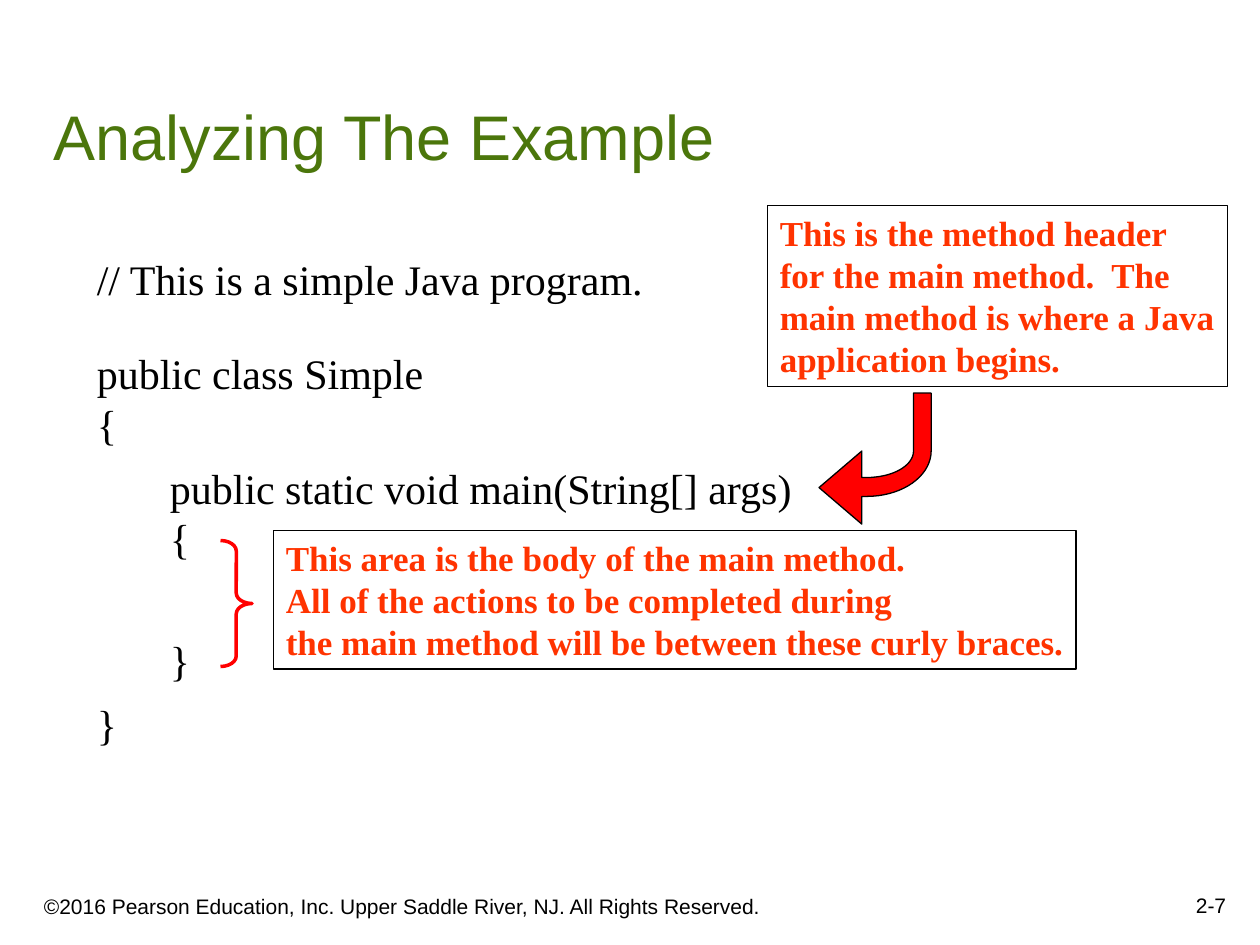
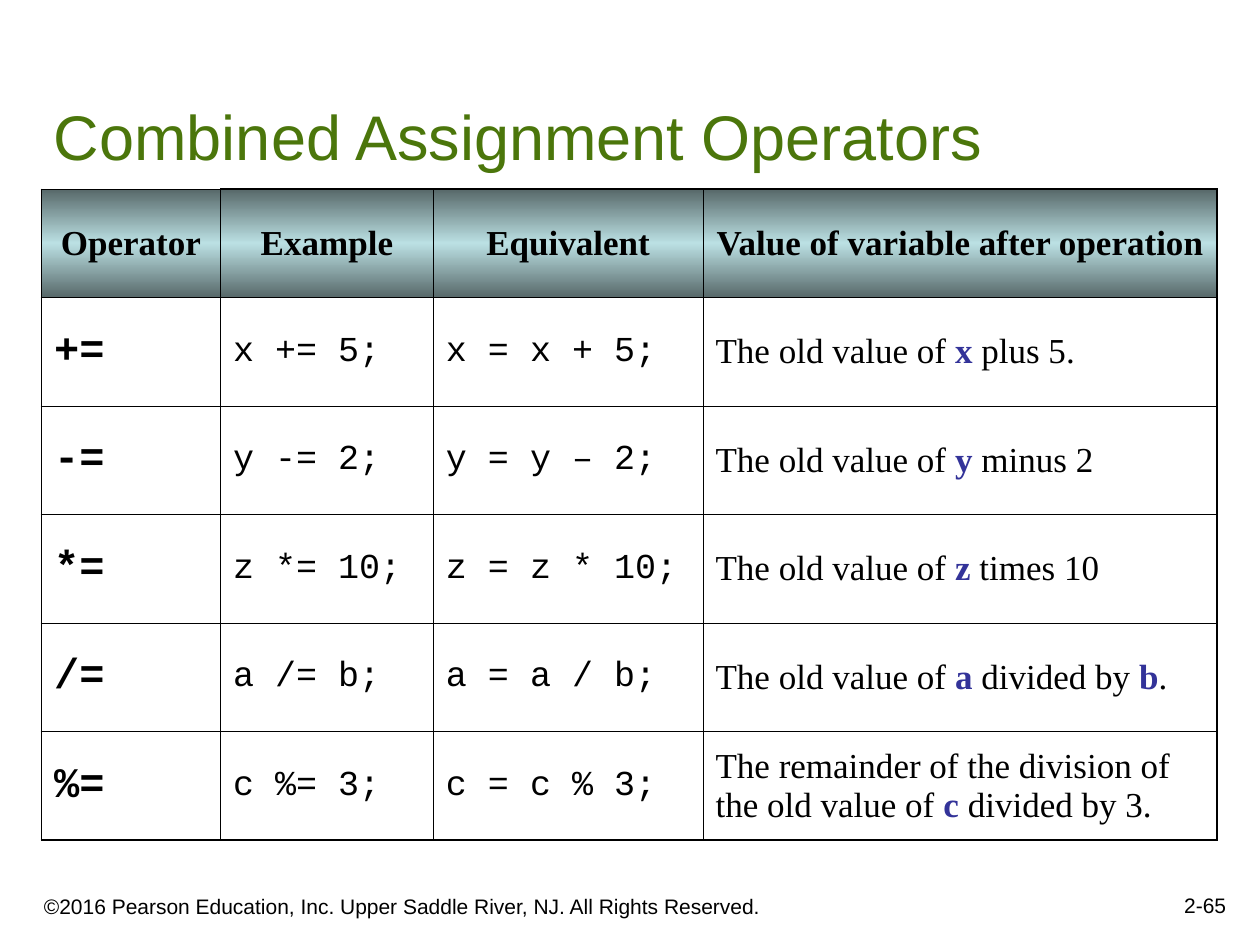
import math

import pptx
import pptx.dml.color
import pptx.enum.shapes
import pptx.enum.text
import pptx.oxml
import pptx.util
from pptx.util import Inches

BLACK = pptx.dml.color.RGBColor(0x00, 0x00, 0x00)
GREEN = pptx.dml.color.RGBColor(0x4B, 0x76, 0x0B)
ORANGE = pptx.dml.color.RGBColor(0xFF, 0x33, 0x00)
RED = pptx.dml.color.RGBColor(0xFF, 0x00, 0x00)
INDIGO = pptx.dml.color.RGBColor(0x33, 0x33, 0x99)
HEADER_DARK = pptx.dml.color.RGBColor(0x57, 0x68, 0x69)
HEADER_LIGHT = pptx.dml.color.RGBColor(0xBB, 0xE0, 0xE3)

SANS = "Arial"
SERIF = "Times New Roman"
MONO = "Courier New"
COPYRIGHT = "©2016 Pearson Education, Inc. Upper Saddle River, NJ. All Rights Reserved."
NAMESPACE = 'xmlns:a="http://schemas.openxmlformats.org/drawingml/2006/main"'

ALIGN = pptx.enum.text.PP_ALIGN
ANCHOR = pptx.enum.text.MSO_ANCHOR
SHAPE = pptx.enum.shapes.MSO_SHAPE


def add_run(paragraph, text, size, font, color=BLACK, bold=False):
    run = paragraph.add_run()
    run.text = text
    run.font.size = pptx.util.Pt(size)
    run.font.name = font
    run.font.color.rgb = color
    run.font.bold = bold


def add_text_box(slide, box, anchor):
    frame = slide.shapes.add_textbox(*[Inches(length) for length in box]).text_frame
    frame.word_wrap = True
    frame.vertical_anchor = anchor
    return frame


presentation = pptx.Presentation()
presentation.slide_width = Inches(10)
presentation.slide_height = Inches(7.5)

# Footer, page number and title of both slides
slides = []
for title, number in [("Analyzing The Example", "2-7"),
                      ("Combined Assignment Operators", "2-65")]:
    slide = presentation.slides.add_slide(presentation.slide_layouts[6])
    for text, box, size, color, alignment in [
        (COPYRIGHT, (0.25, 6.92, 6.08, 0.42), 12, BLACK, ALIGN.LEFT),
        (number, (7.75, 6.83, 2.08, 0.5), 12, BLACK, ALIGN.RIGHT),
        (title, (0.33, 0.33, 9.42, 1.09), 36, GREEN, ALIGN.LEFT),
    ]:
        paragraph = add_text_box(slide, box, ANCHOR.BOTTOM).paragraphs[0]
        paragraph.alignment = alignment
        add_run(paragraph, text, size, SANS, color)
    slides.append(slide)
example_slide, operators_slide = slides

# Java program: each line with the space before it in points
for box, code_lines in [
    ((0.67, 1.96, 4.7, 0.5), [("// This is a simple Java program.", 0)]),
    ((0.67, 2.71, 3.25, 3.3), [("public class Simple", 0), ("{", 0), ("}", 143)]),
    ((1.25, 3.62, 5.3, 2.35),
     [("public static void main(String[] args)", 0), ("{", 0), ("}", 41)]),
]:
    frame = add_text_box(example_slide, box, ANCHOR.TOP)
    for index, (line, space) in enumerate(code_lines):
        paragraph = frame.add_paragraph() if index else frame.paragraphs[0]
        paragraph.line_spacing = pptx.util.Pt(28.8)
        paragraph.space_before = pptx.util.Pt(space)
        add_run(paragraph, line, 24, SERIF)

# Framed explanations
for box, explanation_lines in [
    ((2.17, 4.21, 6.37, 1.1), [
        "This area is the body of the main method.",
        "All of the actions to be completed during",
        "the main method will be between these curly braces."]),
    ((6.09, 1.63, 3.65, 1.44), [
        "This is the method header",
        "for the main method.  The",
        "main method is where a Java",
        "application begins."]),
]:
    shape = example_slide.shapes.add_shape(
        SHAPE.RECTANGLE, *[Inches(length) for length in box])
    shape.shadow.inherit = False
    shape.fill.background()
    shape.line.color.rgb = BLACK
    shape.line.width = pptx.util.Pt(0.75)
    frame = shape.text_frame
    frame.word_wrap = False
    frame.vertical_anchor = ANCHOR.TOP
    for index, line in enumerate(explanation_lines):
        paragraph = frame.add_paragraph() if index else frame.paragraphs[0]
        paragraph.alignment = ALIGN.LEFT
        paragraph.line_spacing = pptx.util.Pt(24)
        add_run(paragraph, line, 20, SERIF, ORANGE, True)

# Brace around the method body
brace = example_slide.shapes.add_shape(
    SHAPE.RIGHT_BRACE, Inches(1.75), Inches(4.29), Inches(0.25), Inches(1))
brace.adjustments[0] = 0.33
brace.shadow.inherit = False
brace.fill.background()
brace.line.color.rgb = RED
brace.line.width = pptx.util.Pt(2)

# Curved arrow to the method header: two elliptical arcs and a head
center_x, center_y = 6.88, 3.58
angles = [math.radians(degrees) for degrees in range(0, 91, 5)]
outer_arc = [(center_x + 0.51 * math.cos(angle), center_y + 0.36 * math.sin(angle))
             for angle in reversed(angles)]
inner_arc = [(center_x + 0.37 * math.cos(angle), center_y + 0.21 * math.sin(angle))
             for angle in angles]
outline = [(6.5, 3.87), (6.84, 4.16), (6.84, 3.94), *outer_arc,
           (7.39, 3.12), (7.25, 3.12), *inner_arc, (6.84, 3.79), (6.84, 3.58)]
points = [(Inches(x), Inches(y)) for x, y in outline]
builder = example_slide.shapes.build_freeform(*points[0])
builder.add_line_segments(points[1:], close=True)
arrow = builder.convert_to_shape()
arrow.shadow.inherit = False
arrow.fill.solid()
arrow.fill.fore_color.rgb = RED
arrow.line.color.rgb = BLACK
arrow.line.width = pptx.util.Pt(0.75)

# Operator table: bars enclose the variables shown in bold
headings = ["Operator", "Example", "Equivalent", "Value of variable after operation"]
operators = [
    ("+=", "x += 5;", "x = x + 5;", "The old value of |x| plus 5."),
    ("-=", "y -= 2;", "y = y – 2;", "The old value of |y| minus 2"),
    ("*=", "z *= 10;", "z = z * 10;", "The old value of |z| times 10"),
    ("/=", "a /= b;", "a = a / b;", "The old value of |a| divided by |b|."),
    ("%=", "c %= 3;", "c = c % 3;",
     "The remainder of the division of the old value of |c| divided by 3."),
]
rows = [headings, *operators]
table = operators_slide.shapes.add_table(
    len(rows), len(headings), Inches(0.33), Inches(1.5), Inches(9.33), Inches(5.17)).table
table.first_row = False
table.horz_banding = False
for column, width in zip(table.columns, [1.42, 1.69, 2.14, 4.08]):
    column.width = Inches(width)

last_row, last_column = len(rows) - 1, len(headings) - 1
for row_index, row in enumerate(rows):
    for column_index, text in enumerate(row):
        cell = table.cell(row_index, column_index)
        cell.vertical_anchor = ANCHOR.MIDDLE
        paragraph = cell.text_frame.paragraphs[0]
        if row_index == 0:
            paragraph.alignment = ALIGN.CENTER
            add_run(paragraph, text, 20, SERIF, bold=True)
        elif column_index == 0:
            add_run(paragraph, text, 24, MONO, bold=True)
        elif column_index < last_column:
            add_run(paragraph, text, 20, MONO)
        else:
            for part_index, part in enumerate(text.split("|")):
                variable = part_index % 2 == 1
                add_run(paragraph, part, 20, SERIF, INDIGO if variable else BLACK, variable)

        # Thick outer and thin inner borders
        properties = cell._tc.get_or_add_tcPr()
        for side, outer in [("L", column_index == 0),
                            ("R", column_index == last_column),
                            ("T", row_index == 0 and column_index > 0),
                            ("B", row_index == last_row)]:
            width = pptx.util.Pt(1.08 if outer else 0.45)
            properties.append(pptx.oxml.parse_xml(
                f'<a:ln{side} {NAMESPACE} w="{width}"><a:solidFill>'
                f'<a:srgbClr val="{BLACK}"/></a:solidFill></a:ln{side}>'))

        # Gradient heading band, clear body
        if row_index == 0:
            stops = "".join(
                f'<a:gs pos="{position}"><a:srgbClr val="{color}"/></a:gs>'
                for position, color in [(0, HEADER_DARK), (50000, HEADER_LIGHT),
                                        (100000, HEADER_DARK)])
            properties.append(pptx.oxml.parse_xml(
                f'<a:gradFill {NAMESPACE} rotWithShape="1"><a:gsLst>{stops}</a:gsLst>'
                '<a:lin ang="5400000" scaled="1"/></a:gradFill>'))
        else:
            cell.fill.background()

presentation.save("out.pptx")
